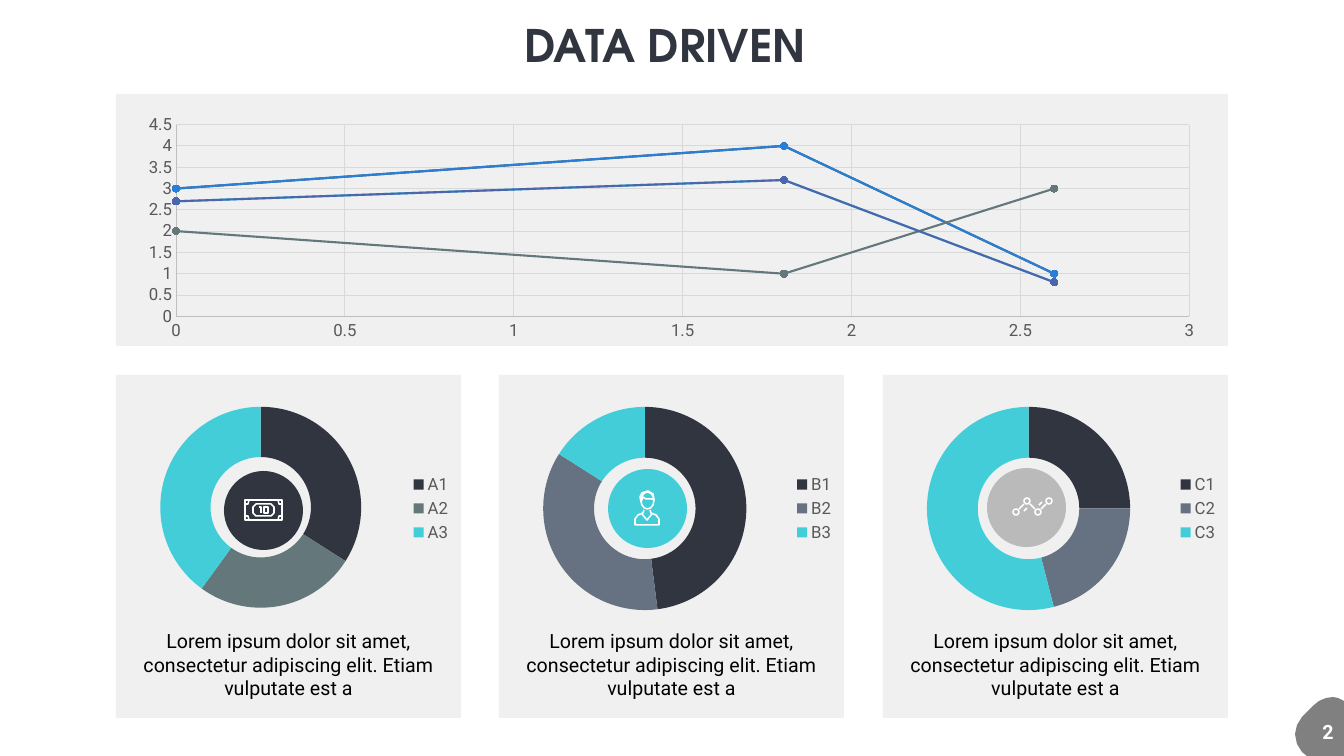
from lxml import etree
from pptx import Presentation
from pptx import util as u
from pptx.chart import data
from pptx.dml.color import RGBColor
from pptx.enum import chart as charts, shapes, text
from pptx.oxml.ns import qn

SCALE = 914400 / 100.8
FONT = "Roboto"
COLORS = {
    "ink": "30353F", "panel": "CFCFCF", "teal": "43CDD9", "sage": "64777B",
    "slate": "667181", "silver": "BABABA", "white": "FFFFFF", "black": "000000",
    "label": "595959", "grid": "D9D9D9", "axis": "BFBFBF", "corner": "808080",
    "indigo": "4A66AC", "blue": "297FD5", "navy": "344357",
}
LOREM = "Lorem ipsum dolor sit amet, consectetur adipiscing elit. Etiam vulputate est a"


def px(value):
    return u.Emu(round(value * SCALE))


def box(*lengths):
    return [px(length) for length in lengths]


def color(name):
    return RGBColor.from_string(COLORS[name])


def paint(format_, name):
    format_.solid()
    format_.fore_color.rgb = color(name)


def style_line(line, name, width):
    paint(line.fill, name)
    line.width = u.Pt(width)


def style_font(font, size, name, bold=False, family=FONT):
    font.size, font.bold, font.name = u.Pt(size), bold, family
    font.color.rgb = color(name)


def finish_shape(shape, fill=None, line=None):
    shape.shadow.inherit = False
    if fill:
        paint(shape.fill, fill)
    else:
        shape.fill.background()
    if line:
        style_line(shape.line, line, 1.1)
    else:
        shape.line.fill.background()
    return shape


def add_shape(slide, kind, bounds, fill=None, line=None):
    return finish_shape(slide.shapes.add_shape(kind, *box(*bounds)), fill, line)


def add_outline(slide, points, close=False, fill=None, line=None):
    builder = slide.shapes.build_freeform(*points[0], scale=SCALE)
    builder.add_line_segments(points[1:], close=close)
    return finish_shape(builder.convert_to_shape(), fill, line)


def add_stroke(slide, start, end):
    connector = slide.shapes.add_connector(
        shapes.MSO_CONNECTOR.STRAIGHT, *box(*start, *end))
    style_line(connector.line, "white", 1.1)
    etree.SubElement(connector.element.spPr, qn("a:effectLst"))


def add_panel(slide, bounds):
    panel = add_shape(slide, shapes.MSO_SHAPE.RECTANGLE, bounds, "panel")
    fill = panel.element.spPr.find(qn("a:solidFill"))
    etree.SubElement(fill[0], qn("a:alpha"), val="30000")


def add_text(slide, bounds, words, size, name, bold=False, family=FONT, wrap=True):
    frame = slide.shapes.add_textbox(*box(*bounds)).text_frame
    frame.word_wrap = wrap
    frame.margin_left = frame.margin_right = frame.margin_top = frame.margin_bottom = 0
    paragraph = frame.paragraphs[0]
    paragraph.text = words
    paragraph.alignment = text.PP_ALIGN.CENTER
    style_font(paragraph.font, size, name, bold, family)


def add_chart(slide, kind, bounds, chart_data):
    chart = slide.shapes.add_chart(kind, *box(*bounds), chart_data).chart
    chart.has_title = False
    style_font(chart.font, 10, "black")
    return chart


def style_axis(axis, maximum):
    axis.minimum_scale, axis.maximum_scale, axis.major_unit = 0, maximum, 0.5
    axis.major_tick_mark = axis.minor_tick_mark = charts.XL_TICK_MARK.NONE
    axis.has_major_gridlines = True
    style_line(axis.major_gridlines.format.line, "grid", 0.75)
    style_line(axis.format.line, "axis", 0.75)
    style_font(axis.tick_labels.font, 12, "label")


def add_curves(slide, bounds):
    low, dip, high = (2.7, 3.2, 0.8), (2, 1, 3), (3, 4, 1)
    chart_data = data.XyChartData()
    for number, values in enumerate((low, dip, high, low, high), 1):
        series = chart_data.add_series(f"Series {number}")
        for x, y in zip((0, 1.8, 2.6), values):
            series.add_data_point(x, y)
    chart = add_chart(slide, charts.XL_CHART_TYPE.XY_SCATTER_SMOOTH, bounds, chart_data)
    chart.has_legend = False
    chart.plots[0].vary_by_categories = False
    style_axis(chart.category_axis, 3)
    style_axis(chart.value_axis, 4.5)
    for series, name in zip(chart.series, ("indigo", "sage", "blue", "teal", "navy")):
        series.smooth = True
        style_line(series.format.line, name, 1.5)
        series.marker.style = charts.XL_MARKER_STYLE.CIRCLE
        series.marker.size = 5
        paint(series.marker.format.fill, name)
        style_line(series.marker.format.line, name, 0.75)


def set_plot_layout(chart, bounds):
    plot_area = chart.element.find(f".//{qn('c:plotArea')}")
    for old in plot_area.findall(qn("c:layout")):
        plot_area.remove(old)
    layout = etree.Element(qn("c:layout"))
    plot_area.insert(0, layout)
    manual = etree.SubElement(layout, qn("c:manualLayout"))
    settings = [("layoutTarget", "inner"), ("xMode", "edge"), ("yMode", "edge")]
    for tag, value in settings + list(zip("xywh", bounds)):
        etree.SubElement(manual, qn(f"c:{tag}"), val=str(value))


def add_doughnut(slide, bounds, letter, values, names, layout):
    chart_data = data.CategoryChartData()
    chart_data.categories = [f"{letter}{number}" for number in (1, 2, 3)]
    chart_data.add_series("Series 1", values)
    chart = add_chart(slide, charts.XL_CHART_TYPE.DOUGHNUT, bounds, chart_data)
    chart.has_legend = True
    chart.legend.position = charts.XL_LEGEND_POSITION.RIGHT
    chart.legend.include_in_layout = False
    style_font(chart.legend.font, 12, "label")
    chart.element.find(f".//{qn('c:holeSize')}").set("val", "75")
    for index, name in enumerate(names):
        point = chart.series[0].points[index].format
        paint(point.fill, name)
        point.line.fill.background()
    if layout:
        set_plot_layout(chart, layout)


def draw_banknote(slide):
    rectangle = shapes.MSO_SHAPE.RECTANGLE
    add_shape(slide, rectangle, (245, 500, 37, 20), line="white")
    for x, corner_x in ((249, 245), (278, 282)):
        for y, corner_y in ((504, 500), (516, 520)):
            add_outline(slide, [(x, corner_y), (x - (x - corner_x) // 4, y),
                                (corner_x, y)], line="white")
    add_outline(slide, [(256, 504), (271, 504), (274, 507), (274, 513), (271, 516),
                        (256, 516), (253, 513), (253, 507)], True, line="white")
    add_outline(slide, [(259, 507), (261, 507), (261, 513)], line="white")
    add_shape(slide, rectangle, (264, 507, 4, 6), line="white")


def draw_person(slide):
    add_shape(slide, shapes.MSO_SHAPE.OVAL, (641, 492, 13, 17), line="white")
    add_outline(slide, [(641, 502), (640, 497), (642, 493), (648, 491), (653, 494),
                        (654, 500), (652, 499), (646, 499), (643, 497), (641, 502)],
                line="white")
    add_outline(slide, [(644, 510), (643, 513), (638, 515), (635, 519), (635, 525),
                        (659, 525), (659, 519), (656, 515), (651, 513), (650, 510)],
                line="white")
    add_outline(slide, [(642, 514), (647, 520), (652, 514)], line="white")


def draw_trend(slide):
    nodes = [(1016, 512), (1027, 501), (1038, 512), (1049, 501)]
    for (x1, y1), (x2, y2) in zip(nodes, nodes[1:]):
        rise = 3 if y2 > y1 else -3
        add_stroke(slide, (x1 + 3, y1 + rise), (x2 - 3, y2 - rise))
    for x, y in nodes:
        add_shape(slide, shapes.MSO_SHAPE.OVAL, (x - 3, y - 3, 6, 6), line="white")
    for x, y in ((1024, 511), (1039, 505)):
        add_stroke(slide, (x, y), (x + 3, y - 3))


def add_card(slide, left, letter, values, names, disc, disc_color, draw_icon, layout):
    add_panel(slide, (left, 375, 345, 343))
    add_doughnut(slide, (left - 1, 393, 347, 231), letter, values, names, layout)
    add_shape(slide, shapes.MSO_SHAPE.OVAL, (*disc, 79, 79), disc_color)
    draw_icon(slide)
    add_text(slide, (left + 25, 629, 295, 72), LOREM, 14, "black")


def main():
    presentation = Presentation()
    presentation.slide_width, presentation.slide_height = box(1344, 756)
    slide = presentation.slides.add_slide(presentation.slide_layouts[6])
    add_text(slide, (514, 18, 302, 54), "DATA DRIVEN", 32, "ink", True,
             "TeX Gyre Adventor", False)
    add_panel(slide, (116, 94, 1112, 252))
    add_curves(slide, (127, 110, 1089, 235))
    sage, slate = ("ink", "sage", "teal"), ("ink", "slate", "teal")
    cards = [
        ("A", (34, 26, 40), sage, (224, 471), "ink", draw_banknote,
         (0.13, 0.06, 0.58, 0.87)),
        ("B", (48, 36, 16), slate, (608, 469), "teal", draw_person, None),
        ("C", (25, 21, 54), slate, (987, 468), "silver", draw_trend, None),
    ]
    for index, card in enumerate(cards):
        add_card(slide, 116 + index * 767 // 2, *card)
    add_outline(slide, [(1333, 697), (1338, 698), (1344, 701), (1344, 756), (1307, 756),
                        (1302, 752), (1297, 744), (1295, 734), (1297, 725), (1302, 717),
                        (1314, 705), (1319, 701), (1326, 698)], True, "corner")
    add_text(slide, (1313, 720, 30, 24), "2", 14, "white", True, wrap=False)
    presentation.save("out.pptx")


if __name__ == "__main__":
    main()
